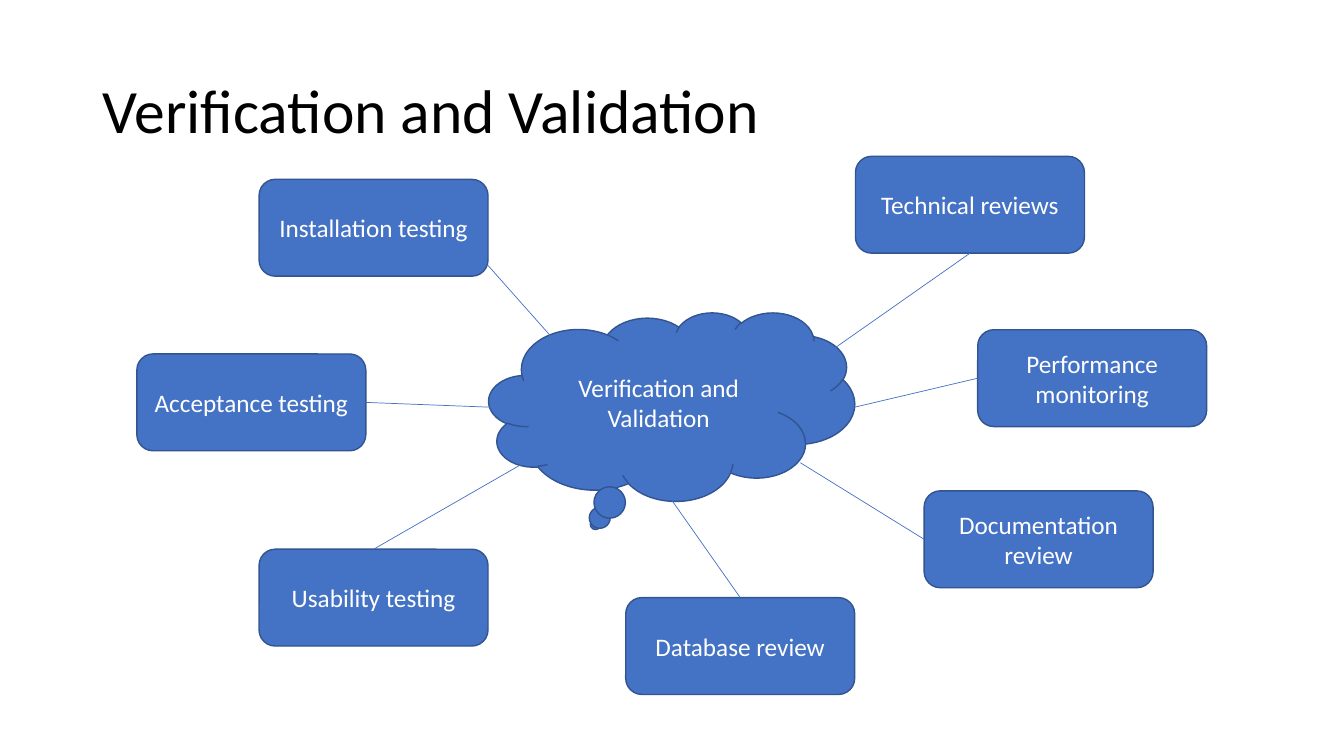
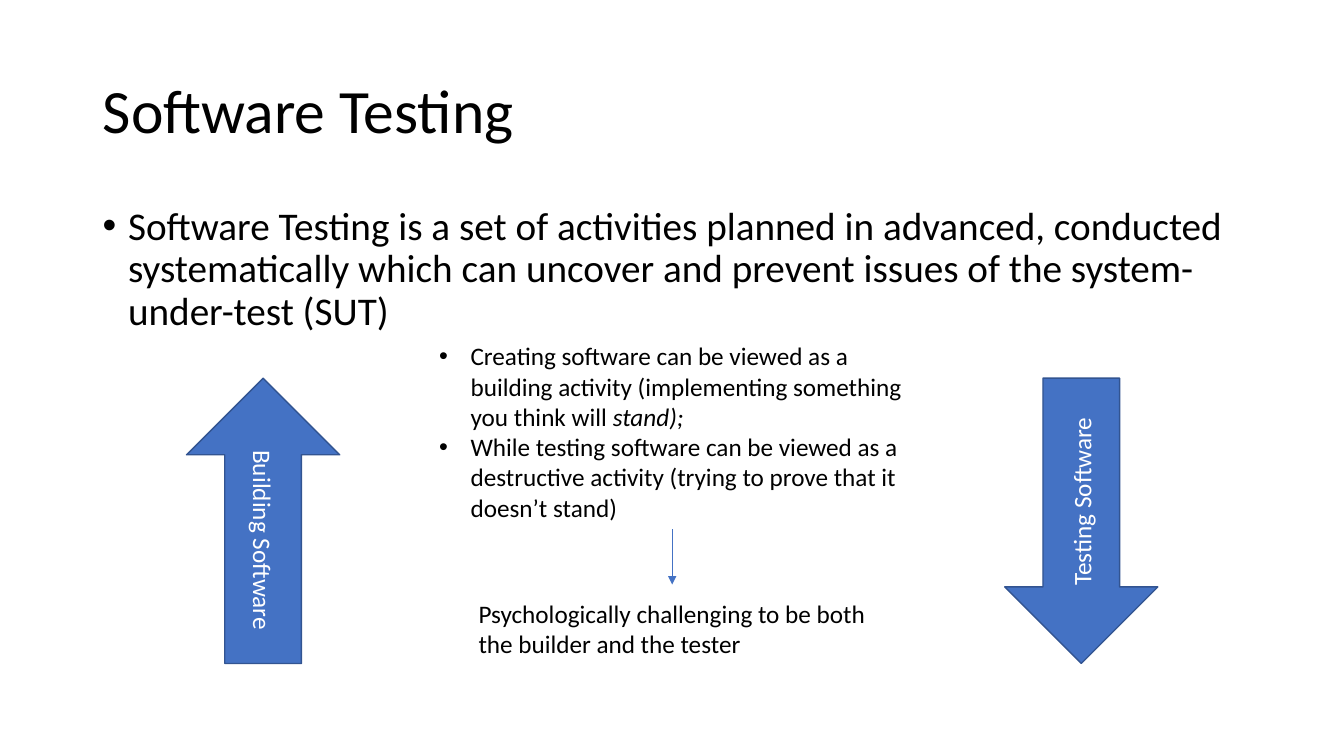
"""Build two slides on verification, validation and software testing."""
from lxml import etree
from pptx import Presentation
from pptx.dml.color import RGBColor
from pptx.enum.shapes import MSO_CONNECTOR, MSO_SHAPE
from pptx.enum.text import MSO_ANCHOR, PP_ALIGN
from pptx.oxml.ns import qn
from pptx.util import Cm, Pt

CLOUD, BOX, ARROW = MSO_SHAPE.CLOUD_CALLOUT, MSO_SHAPE.ROUNDED_RECTANGLE, MSO_SHAPE.DOWN_ARROW
STRAIGHT = MSO_CONNECTOR.STRAIGHT
TOP, MIDDLE = MSO_ANCHOR.TOP, MSO_ANCHOR.MIDDLE
CENTER = PP_ALIGN.CENTER

FILL, OUTLINE, DARK, LIGHT = "4472C4", "325491", "000000", "FFFFFF"
FONT = "Calibri"
SLIDE_SIZE = (33.87, 19.05)
TITLE_AREA = (2.34, 1.02, 29.21, 3.68)
TITLE = {"size": 44, "anchor": MIDDLE, "paragraph": {"line_spacing": 0.9}}
BODY = {"size": 28, "indent": 0.64,
        "paragraph": {"line_spacing": 0.9, "space_before": Pt(10)}}
NOTE = {"size": 18}
POINTS = {"size": 18, "indent": 0.79}
LABEL = {"size": 18, "color": LIGHT, "anchor": MIDDLE, "paragraph": {"alignment": CENTER}}

TOPIC = "Verification and Validation"
TOPIC_AREA = (12.32, 7.87, 9.22, 4.75)
BOX_SIZE = (5.77, 2.44)
# name, box corner, cloud end of link, box end of link as a share of its size
ACTIVITIES = [
    ("Technical reviews", (21.56, 3.94), (21.01, 8.79), (0.5, 1)),
    ("Performance monitoring", (24.64, 8.31), (21.54, 10.26), (0, 0.5)),
    ("Documentation review", (23.29, 12.37), (20.17, 11.66), (0, 0.5)),
    ("Database review", (15.77, 15.06), (16.94, 12.62), (0.5, 0)),
    ("Usability testing", (6.53, 13.84), (13.21, 11.66), (0.5, 0)),
    ("Acceptance testing", (3.45, 8.92), (12.34, 10.26), (1, 0.5)),
    ("Installation testing", (6.53, 4.52), (13.87, 8.46), (1, 0.89)),
]

DEFINITION = (
    "Software Testing is a set of activities planned in advanced, conducted systematically "
    "which can uncover and prevent issues of the system-under-test (SUT)"
)
VIEWS = [
    [("Creating software can be viewed as a building activity "
      "(implementing something you think will ", False), ("stand);", True)],
    [("While testing software can be viewed as a destructive activity "
      "(trying to prove that it doesn’t stand)", False)],
]
CONCLUSION = "Psychologically challenging to be both the builder and the tester"
DIRECTIONS = [("Testing Software", 25.32, 0), ("Building Software", 4.7, 180)]
DIRECTION_TOP, DIRECTION_SIZE = 9.53, (3.86, 7.19)


def rgb(value):
    return RGBColor.from_string(value)


def apply(target, values):
    for name, value in values.items():
        setattr(target, name, value)


def add_bullet(paragraph, indent):
    properties = paragraph._p.get_or_add_pPr()
    properties.set("marL", str(Cm(indent)))
    properties.set("indent", str(-Cm(indent)))
    etree.SubElement(properties, qn("a:buFont")).set("typeface", "Arial")
    etree.SubElement(properties, qn("a:buChar")).set("char", "•")


def write(shape, paragraphs, style):
    frame = shape.text_frame
    apply(frame, {"word_wrap": True, "vertical_anchor": style.get("anchor", TOP)})
    for index, runs in enumerate(paragraphs):
        paragraph = frame.add_paragraph() if index else frame.paragraphs[0]
        apply(paragraph, style.get("paragraph", {}))
        if "indent" in style:
            add_bullet(paragraph, style["indent"])
        for text, italic in runs:
            run = paragraph.add_run()
            run.text = text
            apply(run.font, {"name": FONT, "size": Pt(style["size"]), "italic": italic})
            run.font.color.rgb = rgb(style.get("color", DARK))


def add_text(slide, area, paragraphs, style):
    write(slide.shapes.add_textbox(*map(Cm, area)), paragraphs, style)


def add_figure(slide, preset, area, label):
    figure = slide.shapes.add_shape(preset, *map(Cm, area))
    figure.shadow.inherit = False
    figure.fill.solid()
    figure.fill.fore_color.rgb = rgb(FILL)
    figure.line.color.rgb = rgb(OUTLINE)
    figure.line.width = Pt(1)
    write(figure, [[(label, False)]], LABEL)
    return figure


def add_link(slide, start, end, arrowhead=False):
    link = slide.shapes.add_connector(STRAIGHT, *map(Cm, (*start, *end)))
    link.line.color.rgb = rgb(FILL)
    link.line.width = Pt(0.5)
    if arrowhead:
        etree.SubElement(link.line._get_or_add_ln(), qn("a:tailEnd")).set("type", "triangle")
    etree.SubElement(link._element.spPr, qn("a:effectLst"))


def add_slide(deck, title):
    slide = deck.slides.add_slide(deck.slide_layouts[6])
    add_text(slide, TITLE_AREA, [[(title, False)]], TITLE)
    return slide


def build_overview(deck):
    slide = add_slide(deck, TOPIC)
    add_figure(slide, CLOUD, TOPIC_AREA, TOPIC)
    for name, corner, start, share in ACTIVITIES:
        add_figure(slide, BOX, (*corner, *BOX_SIZE), name)
        end = [c + size * s for c, size, s in zip(corner, BOX_SIZE, share)]
        add_link(slide, start, end)


def build_testing(deck):
    slide = add_slide(deck, "Software Testing")
    add_text(slide, (2.34, 5.08, 29.21, 3.68), [[(DEFINITION, False)]], BODY)
    for label, left, rotation in DIRECTIONS:
        direction = add_figure(slide, ARROW, (left, DIRECTION_TOP, *DIRECTION_SIZE), label)
        direction.rotation = rotation
        direction.text_frame._txBody.bodyPr.set("vert", "vert270")
    add_text(slide, (10.82, 8.46, 12.22, 4.88), VIEWS, POINTS)
    add_link(slide, (16.94, 13.34), (16.94, 14.73), arrowhead=True)
    add_text(slide, (11.81, 14.94, 10.85, 1.8), [[(CONCLUSION, False)]], NOTE)


def main():
    deck = Presentation()
    deck.slide_width, deck.slide_height = map(Cm, SLIDE_SIZE)
    build_overview(deck)
    build_testing(deck)
    deck.save("out.pptx")


if __name__ == "__main__":
    main()
